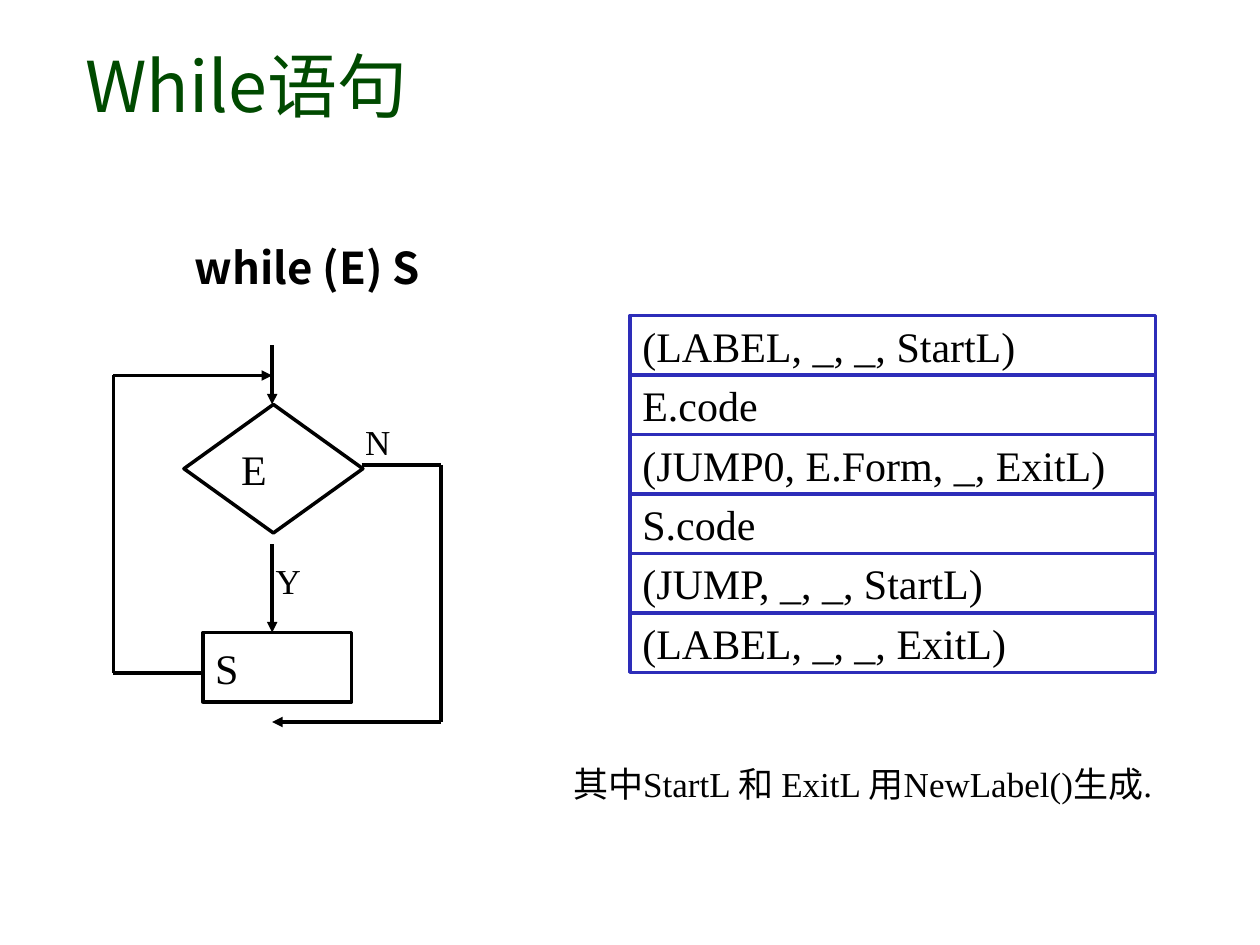
"""Build a slide that explains the code generated for a while statement."""
from dataclasses import dataclass
from typing import NamedTuple

import pptx
import pptx.dml.color
import pptx.enum.shapes
import pptx.enum.text
import pptx.oxml.ns
import pptx.slide
import pptx.text.text
import pptx.util
from lxml import etree

MSO = pptx.enum.shapes.MSO_SHAPE
ALIGN = pptx.enum.text.PP_ALIGN
ANCHOR = pptx.enum.text.MSO_ANCHOR
qn = pptx.oxml.ns.qn

SLIDE_WIDTH, SLIDE_HEIGHT = pptx.util.Inches(10), pptx.util.Inches(7.5)
COLUMNS, ROWS = 100, 75


@dataclass(frozen=True)
class Theme:
    title: str = "004A00"
    ink: str = "000000"
    frame: str = "2D2DB9"
    sans: str = "Noto Sans CJK KR"
    serif: str = "Times New Roman"
    title_size: int = 40
    heading_size: int = 25
    code_size: int = 24
    note_size: int = 20
    stroke: int = 2


THEME = Theme()


class Area(NamedTuple):
    column: float
    row: float
    columns: float
    rows: float


class Style(NamedTuple):
    face: str
    size: int
    color: str = THEME.ink
    bold: bool = False


class Label(NamedTuple):
    text: str
    area: Area
    style: Style
    align: ALIGN = ALIGN.LEFT
    anchor: ANCHOR = ANCHOR.TOP


class Block(NamedTuple):
    text: str
    area: Area
    outline: MSO = MSO.RECTANGLE
    color: str = THEME.ink


class Route(NamedTuple):
    points: tuple[tuple[float, float], ...]
    arrow: bool = True


def across(columns: float) -> int:
    return round(SLIDE_WIDTH * columns / COLUMNS)


def down(rows: float) -> int:
    return round(SLIDE_HEIGHT * rows / ROWS)


def place(area: Area) -> tuple[int, int, int, int]:
    return across(area.column), down(area.row), across(area.columns), down(area.rows)


def rgb(color: str) -> pptx.dml.color.RGBColor:
    return pptx.dml.color.RGBColor.from_string(color)


def apply(target: object, formats: dict[str, object]) -> None:
    for name, value in formats.items():
        setattr(target, name, value)


def write(frame: pptx.text.text.TextFrame, text: str, style: Style,
          align: ALIGN, anchor: ANCHOR, wrap: bool) -> None:
    apply(frame, {"word_wrap": wrap, "vertical_anchor": anchor})
    paragraph = frame.paragraphs[0]
    paragraph.alignment = align
    run = paragraph.add_run()
    run.text = text
    apply(run.font, {"name": style.face, "size": pptx.util.Pt(style.size), "bold": style.bold})
    run.font.color.rgb = rgb(style.color)
    east_asian = etree.SubElement(run.font._element, qn("a:ea"))
    east_asian.set("typeface", THEME.sans)


def draw_label(slide: pptx.slide.Slide, label: Label) -> None:
    box = slide.shapes.add_textbox(*place(label.area))
    write(box.text_frame, label.text, label.style, label.align, label.anchor, True)


def draw_block(slide: pptx.slide.Slide, block: Block) -> None:
    shape = slide.shapes.add_shape(block.outline, *place(block.area))
    shape.shadow.inherit = False
    shape.fill.background()
    shape.line.color.rgb = rgb(block.color)
    shape.line.width = pptx.util.Pt(THEME.stroke)
    write(shape.text_frame, block.text, CODE, ALIGN.LEFT, ANCHOR.MIDDLE, False)


def draw_route(slide: pptx.slide.Slide, route: Route) -> None:
    for start, end in zip(route.points, route.points[1:]):
        segment = slide.shapes.add_connector(
            pptx.enum.shapes.MSO_CONNECTOR.STRAIGHT,
            across(start[0]), down(start[1]), across(end[0]), down(end[1]))
        segment.line.color.rgb = rgb(THEME.ink)
        segment.line.width = pptx.util.Pt(THEME.stroke)
        properties = segment._element.spPr
        if route.arrow and end == route.points[-1]:
            etree.SubElement(properties.find(qn("a:ln")), qn("a:tailEnd")).set("type", "triangle")
        etree.SubElement(properties, qn("a:effectLst"))


CODE = Style(THEME.serif, THEME.code_size)
NOTE = Style(THEME.serif, THEME.note_size)

LABELS = (
    Label("While语句", Area(5.8, 1.7, 84.9, 10),
          Style(THEME.sans, THEME.title_size, THEME.title), anchor=ANCHOR.MIDDLE),
    Label("while (E) S", Area(4.3, 18.6, 40.2, 6.3),
          Style(THEME.sans, THEME.heading_size, bold=True), ALIGN.CENTER),
    Label("N", Area(28, 32.9, 4.7, 4.3), NOTE),
    Label("Y", Area(20.9, 43.9, 4.7, 4.3), NOTE),
    Label("其中StartL 和 ExitL 用NewLabel()生成.", Area(44.5, 60, 51.2, 7.6), NOTE),
)

INSTRUCTIONS = (
    "(LABEL, _, _, StartL)",
    "E.code",
    "(JUMP0, E.Form, _, ExitL)",
    "S.code",
    "(JUMP, _, _, StartL)",
    "(LABEL, _, _, ExitL)",
)
LISTING = Area(50, 25.04, 41.7, 4.72)

CONDITION = Block("E", Area(14.6, 32.1, 14.2, 10.2), MSO.FLOWCHART_DECISION)
BODY = Block("S", Area(16.1, 50.2, 11.8, 5.5), MSO.FLOWCHART_PROCESS)

AXIS, LOOP, EXIT = 21.6, 9, 35
ROUTES = (
    Route(((AXIS, 27.4), (AXIS, CONDITION.area.row))),
    Route(((AXIS, 43.2), (AXIS, BODY.area.row))),
    Route(((28.7, 36.9), (EXIT, 36.9), (EXIT, 57.3), (AXIS, 57.3))),
    Route(((BODY.area.column, 53.4), (LOOP, 53.4), (LOOP, 29.8), (AXIS, 29.8))),
)


def main() -> None:
    deck = pptx.Presentation()
    apply(deck, {"slide_width": SLIDE_WIDTH, "slide_height": SLIDE_HEIGHT})
    slide = deck.slides.add_slide(deck.slide_layouts[6])
    for index, instruction in enumerate(INSTRUCTIONS):
        area = LISTING._replace(row=LISTING.row + index * LISTING.rows)
        draw_block(slide, Block(instruction, area, color=THEME.frame))
    for block in (CONDITION, BODY):
        draw_block(slide, block)
    for route in ROUTES:
        draw_route(slide, route)
    for label in LABELS:
        draw_label(slide, label)
    deck.save("out.pptx")


if __name__ == "__main__":
    main()
